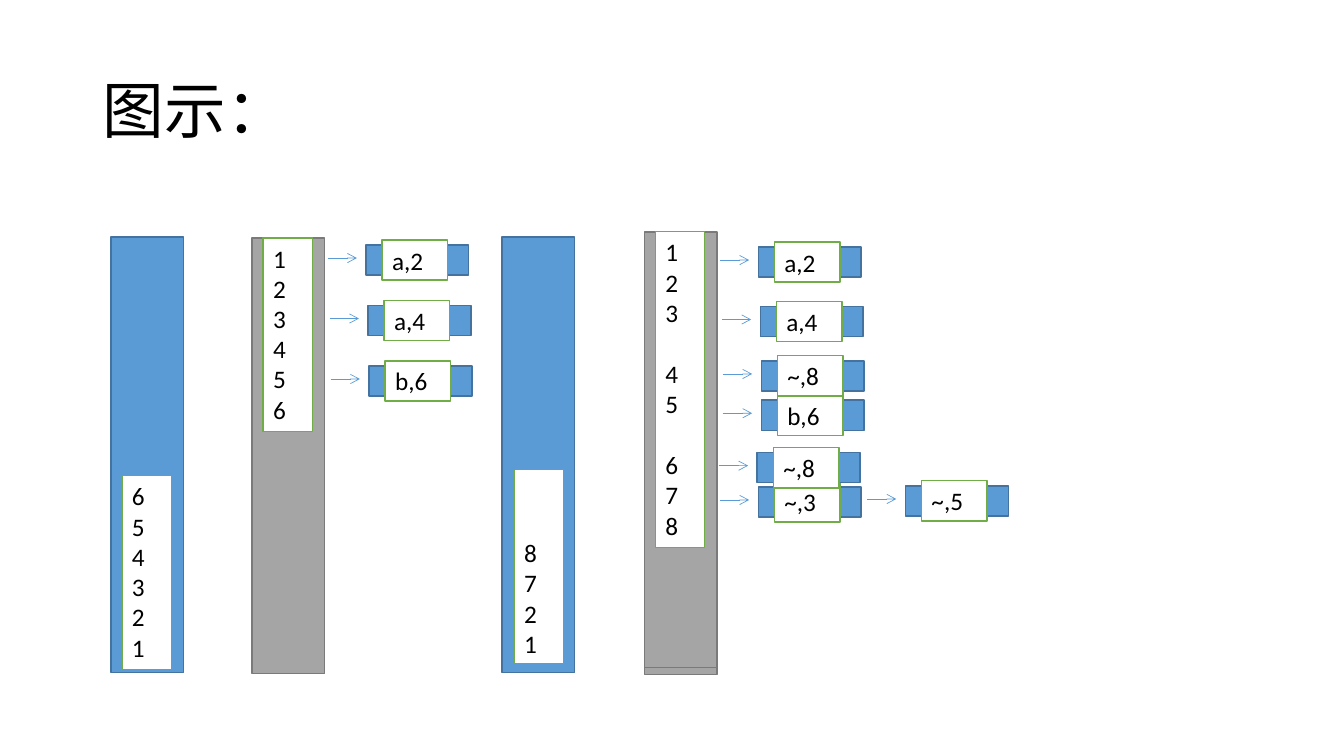
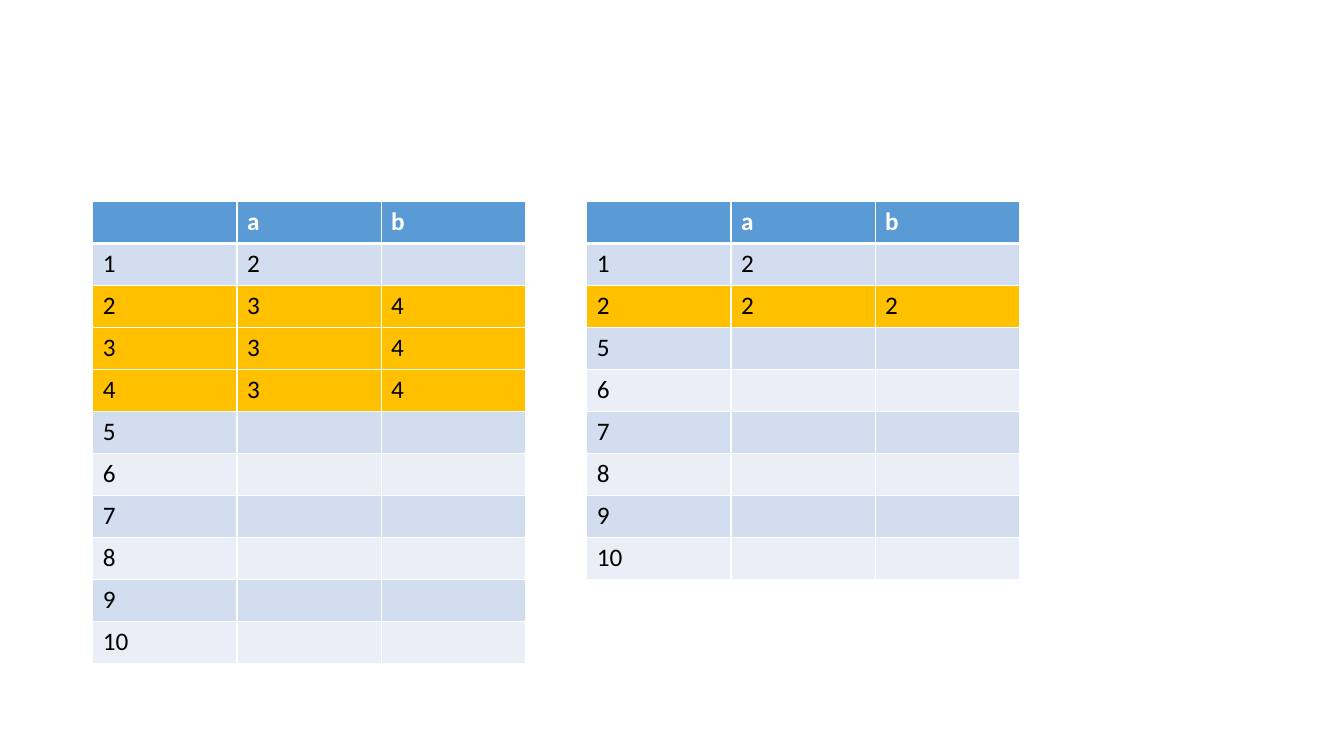
from lxml.etree import SubElement
from pptx import Presentation
from pptx.dml.color import RGBColor
from pptx.enum.shapes import MSO_CONNECTOR, MSO_SHAPE
from pptx.enum.text import MSO_ANCHOR, PP_ALIGN
from pptx.oxml.ns import qn
from pptx.util import Inches, Pt

FONT = "Calibri"
BLACK, WHITE = "000000", "FFFFFF"
BLUE, BLUE_LINE = "5B9BD5", "43739E"
GRAY, GRAY_LINE = "A5A5A5", "7A7A7A"
GREEN, GOLD = "70AD47", "FFC000"
BANDS = ("EAEFF7", "D2DEEF")
BAR_W, BAR_H = 0.72, 4.32
LIST_W, LIST_H = 0.49, 1.92


def rgb(color):
    """Turn a hex string into a colour."""
    return RGBColor.from_string(color)


def add_run(p, text, size=18, color=BLACK, bold=False):
    """Add one formatted run to a paragraph."""
    r = p.add_run()
    r.text = text
    r.font.name = FONT
    r.font.size = Pt(size)
    r.font.bold = bold
    r.font.color.rgb = rgb(color)


def add_title(s, text):
    """Place and fill the title placeholder."""
    sp = s.shapes.title
    sp.left, sp.top = Inches(0.92), Inches(0.4)
    sp.width, sp.height = Inches(11.5), Inches(1.45)
    tf = sp.text_frame
    tf.vertical_anchor = MSO_ANCHOR.MIDDLE
    p = tf.paragraphs[0]
    p.alignment = PP_ALIGN.LEFT
    p.line_spacing = 0.9
    add_run(p, text, 44)


def add_rect(s, x, y, w, h, fill, line):
    """Add a filled and outlined rectangle."""
    sp = s.shapes.add_shape(MSO_SHAPE.RECTANGLE, Inches(x), Inches(y), Inches(w), Inches(h))
    sp.shadow.inherit = False
    sp.fill.solid()
    sp.fill.fore_color.rgb = rgb(fill)
    sp.line.color.rgb = rgb(line)
    sp.line.width = Pt(1)
    return sp


def add_label(s, x, y, w, h, lines, anchor=MSO_ANCHOR.TOP, gap_before=()):
    """Add a white box with one paragraph a line and a line's gap before some."""
    tf = add_rect(s, x, y, w, h, WHITE, GREEN).text_frame
    tf.word_wrap = True
    tf.vertical_anchor = anchor
    for i, text in enumerate(lines):
        p = tf.add_paragraph() if i else tf.paragraphs[0]
        p.alignment = PP_ALIGN.LEFT
        if text in gap_before:
            p.space_before = Pt(22)
        add_run(p, text)


def add_arrow(s, x, y, length):
    """Add a thin horizontal arrow."""
    cn = s.shapes.add_connector(
        MSO_CONNECTOR.STRAIGHT, Inches(x), Inches(y), Inches(x + length), Inches(y))
    cn.line.color.rgb = rgb(BLUE)
    cn.line.width = Pt(0.5)
    SubElement(cn.line._get_or_add_ln(), qn("a:tailEnd"), type="arrow")
    SubElement(cn._element.spPr, qn("a:effectLst"))


def add_node(s, x, y, text):
    """Add an arrow that points to a labelled node."""
    add_arrow(s, x, y, 0.29)
    add_rect(s, x + 0.38, y - 0.13, 1.02, 0.3, BLUE, BLUE_LINE)
    add_label(s, x + 0.54, y - 0.18, 0.65, 0.4, [text])


def set_borders(cell, top, bottom):
    """Give a cell white borders of the given top and bottom widths."""
    tc_pr = cell._tc.get_or_add_tcPr()
    for side, width in (("L", 1), ("R", 1), ("T", top), ("B", bottom)):
        ln = SubElement(tc_pr, qn("a:ln" + side), w=str(Pt(width)))
        fill = SubElement(ln, qn("a:solidFill"))
        SubElement(fill, qn("a:srgbClr"), val=WHITE)


def row_fill(row):
    """Choose the fill of a table row from its content."""
    if not row[0]:
        return BLUE
    return GOLD if row[2] else BANDS[int(row[0]) % 2]


def add_grid(s, x, rows):
    """Add a banded table with a header row."""
    height = Inches(1.25) * len(rows) // 3
    table = s.shapes.add_table(
        len(rows), 3, Inches(x), Inches(2), Inches(4.29), height).table
    for i, row in enumerate(rows):
        for j, text in enumerate(row):
            cell = table.cell(i, j)
            set_borders(cell, 3 if i == 1 else 1, 3 if i == 0 else 1)
            cell.fill.solid()
            cell.fill.fore_color.rgb = rgb(row_fill(row))
            if text:
                add_run(cell.text_frame.paragraphs[0], text,
                        color=BLACK if i else WHITE, bold=i == 0)


def build_diagram(prs):
    """Build the slide with the stacks and their linked nodes."""
    s = prs.slides.add_slide(prs.slide_layouts[5])
    add_title(s, "图示：")
    for x, y, fill, line in (
        (1.1, 2.35, BLUE, BLUE_LINE),
        (2.5, 2.36, GRAY, GRAY_LINE),
        (4.98, 2.35, BLUE, BLUE_LINE),
        (6.39, 2.37, GRAY, GRAY_LINE),
        (6.39, 2.3, GRAY, GRAY_LINE),
    ):
        add_rect(s, x, y, BAR_W, BAR_H, fill, line)
    add_label(s, 1.21, 4.72, LIST_W, LIST_H, "654321")
    add_label(s, 2.61, 2.36, LIST_W, LIST_H, "123456")
    add_label(s, 5.1, 4.66, LIST_W, LIST_H, "8721", MSO_ANCHOR.BOTTOM)
    add_label(s, 6.5, 2.3, LIST_W, 3.13, "12345678", gap_before="46")
    for x, y, text in (
        (3.25, 2.56, "a,2"),
        (3.27, 3.16, "a,4"),
        (3.28, 3.76, "b,6"),
        (7.14, 2.58, "a,2"),
        (7.16, 3.17, "a,4"),
        (7.17, 4.1, "b,6"),
        (7.14, 4.96, "~,3"),
        (8.6, 4.95, "~,5"),
        (7.17, 3.71, "~,8"),
        (7.13, 4.62, "~,8"),
    ):
        add_node(s, x, y, text)


def build_tables(prs):
    """Build the slide with the two tables."""
    s = prs.slides.add_slide(prs.slide_layouts[6])
    head = [("", "a", "b"), ("1", "2", "")]
    rest = [(str(n), "", "") for n in range(5, 11)]
    add_grid(s, 0.92, head + [(n, "3", "4") for n in "234"] + rest)
    add_grid(s, 5.82, head + [("2", "2", "2")] + rest)


def main():
    """Build and save the presentation."""
    prs = Presentation()
    prs.slide_width, prs.slide_height = Inches(13.33), Inches(7.5)
    build_diagram(prs)
    build_tables(prs)
    prs.save("out.pptx")


main()
